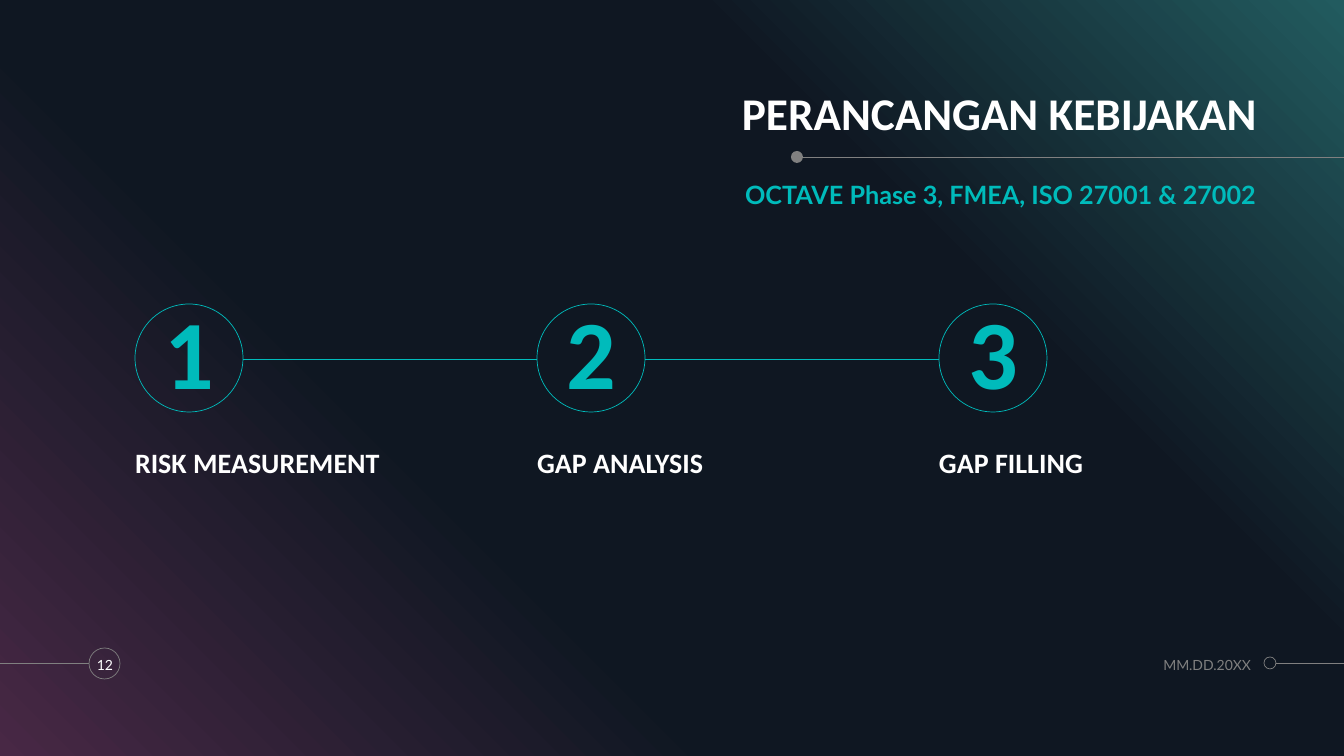
from copy import deepcopy

from lxml import etree
from pptx import Presentation
from pptx.dml.color import RGBColor
from pptx.enum.shapes import MSO_CONNECTOR, MSO_SHAPE
from pptx.enum.text import MSO_ANCHOR, PP_ALIGN
from pptx.oxml.ns import qn
from pptx.util import Emu, Pt

LEFT, CENTER, RIGHT = PP_ALIGN.LEFT, PP_ALIGN.CENTER, PP_ALIGN.RIGHT
TOP, MIDDLE, BOTTOM = MSO_ANCHOR.TOP, MSO_ANCHOR.MIDDLE, MSO_ANCHOR.BOTTOM
STRAIGHT = MSO_CONNECTOR.STRAIGHT
OVAL, RECTANGLE = MSO_SHAPE.OVAL, MSO_SHAPE.RECTANGLE

COLORS = {
    "plum": "482845",
    "night": "0F1722",
    "pine": "225B5F",
    "teal": "00BBBB",
    "gray": "808080",
    "white": "FFFFFF",
}

TITLE = "PERANCANGAN KEBIJAKAN"
SUBTITLE = "OCTAVE Phase 3, FMEA, ISO 27001 & 27002"
STEPS = ["RISK MEASUREMENT", "GAP ANALYSIS", "GAP FILLING"]
DATE = "MM.DD.20XX"
PAGE = "12"
BACKDROP = [(0, "plum"), (0.34, "night"), (0.69, "night"), (1, "pine")]

# Lengths in px
WIDTH, HEIGHT = 1344, 756
PX = 12192000 / WIDTH
STEP_LEFT, STEP_PITCH = 135, 402
CIRCLE_TOP, CIRCLE_SIZE = 304, 108
LABEL_TOP, LABEL_WIDTH, LABEL_HEIGHT = 425, 325, 55

STYLES = {
    "title": dict(font="Calibri", size=32.4, bold=True, color="white",
                  align=RIGHT, anchor=BOTTOM, spacing=0.9, before=0),
    "subtitle": dict(font="Lato", size=18, bold=True, color="teal",
                     align=RIGHT, anchor=TOP, spacing=1.0, before=10),
    "number": dict(font="Calibri", size=70, bold=True, color="teal",
                   align=CENTER, anchor=MIDDLE, spacing=0.9, before=10),
    "label": dict(font="Calibri", size=20, bold=True, color="white",
                  align=LEFT, anchor=BOTTOM, spacing=0.9, before=6),
    "date": dict(font="Lato", size=10, bold=False, color="gray",
                 align=RIGHT, anchor=MIDDLE, spacing=1.0, before=0),
    "page": dict(font="Lato", size=10, bold=False, color="white",
                 align=CENTER, anchor=MIDDLE, spacing=1.0, before=0),
}


def px(*lengths):
    return [Emu(round(length * PX)) for length in lengths]


def rgb(name):
    return RGBColor.from_string(COLORS[name])


def write(shape, text, style):
    look = STYLES[style]
    frame = shape.text_frame
    frame.word_wrap = True
    frame.vertical_anchor = look["anchor"]
    for side in ("left", "top", "right", "bottom"):
        setattr(frame, f"margin_{side}", 0)
    paragraph = frame.paragraphs[0]
    paragraph.alignment = look["align"]
    paragraph.line_spacing = look["spacing"]
    paragraph.space_before = Pt(look["before"])
    run = paragraph.add_run()
    run.text = text
    run.font.name = look["font"]
    run.font.size = Pt(look["size"])
    run.font.bold = look["bold"]
    run.font.color.rgb = rgb(look["color"])


def add_text(slide, box, text, style):
    write(slide.shapes.add_textbox(*px(*box)), text, style)


def add_line(slide, ends, color):
    line = slide.shapes.add_connector(STRAIGHT, *px(*ends))
    line.line.color.rgb = rgb(color)
    line.line.width = Pt(0.5)
    etree.SubElement(line.element.spPr, qn("a:effectLst"))


def add_circle(slide, box, color, filled=False):
    circle = slide.shapes.add_shape(OVAL, *px(*box))
    circle.shadow.inherit = False
    if filled:
        circle.fill.solid()
        circle.fill.fore_color.rgb = rgb(color)
        circle.line.fill.background()
    else:
        circle.fill.background()
        circle.line.color.rgb = rgb(color)
        circle.line.width = Pt(0.5)
    return circle


def add_backdrop(slide):
    backdrop = slide.shapes.add_shape(RECTANGLE, *px(0, 0, WIDTH, HEIGHT))
    backdrop.shadow.inherit = False
    backdrop.line.fill.background()
    fill = backdrop.fill
    fill.gradient()
    fill.gradient_angle = 45
    stops = backdrop.element.spPr.find(qn("a:gradFill")).find(qn("a:gsLst"))
    while len(stops) < len(BACKDROP):
        stops.append(deepcopy(stops[0]))
    for stop, (position, color) in zip(fill.gradient_stops, BACKDROP):
        stop.position = position
        stop.color.rgb = rgb(color)


def add_header(slide):
    add_line(slide, (WIDTH, 157, 800, 157), "gray")
    add_circle(slide, (791, 151, 12, 12), "gray", filled=True)
    add_text(slide, (562, 78, 695, 62), TITLE, "title")
    add_text(slide, (562, 179, 694, 62), SUBTITLE, "subtitle")


def add_footer(slide):
    add_line(slide, (1276, 663, WIDTH, 663), "gray")
    add_circle(slide, (1264, 657, 12, 12), "gray")
    add_text(slide, (1104, 648, 147, 33), DATE, "date")
    add_line(slide, (0, 663, 89, 663), "gray")
    add_circle(slide, (89, 648, 31, 31), "gray")
    add_text(slide, (85, 648, 40, 33), PAGE, "page")


def add_steps(slide):
    middle = CIRCLE_TOP + CIRCLE_SIZE / 2 + 1
    for index, label in enumerate(STEPS):
        left = STEP_LEFT + index * STEP_PITCH
        if index:
            previous_right = left - STEP_PITCH + CIRCLE_SIZE
            add_line(slide, (previous_right, middle, left, middle), "teal")
        circle = add_circle(slide, (left, CIRCLE_TOP, CIRCLE_SIZE, CIRCLE_SIZE), "teal")
        write(circle, str(index + 1), "number")
        add_text(slide, (left, LABEL_TOP, LABEL_WIDTH, LABEL_HEIGHT), label, "label")


def main():
    deck = Presentation()
    deck.slide_width, deck.slide_height = px(WIDTH, HEIGHT)
    slide = deck.slides.add_slide(deck.slide_layouts[6])
    add_backdrop(slide)
    add_header(slide)
    add_footer(slide)
    add_steps(slide)
    deck.save("out.pptx")


if __name__ == "__main__":
    main()
